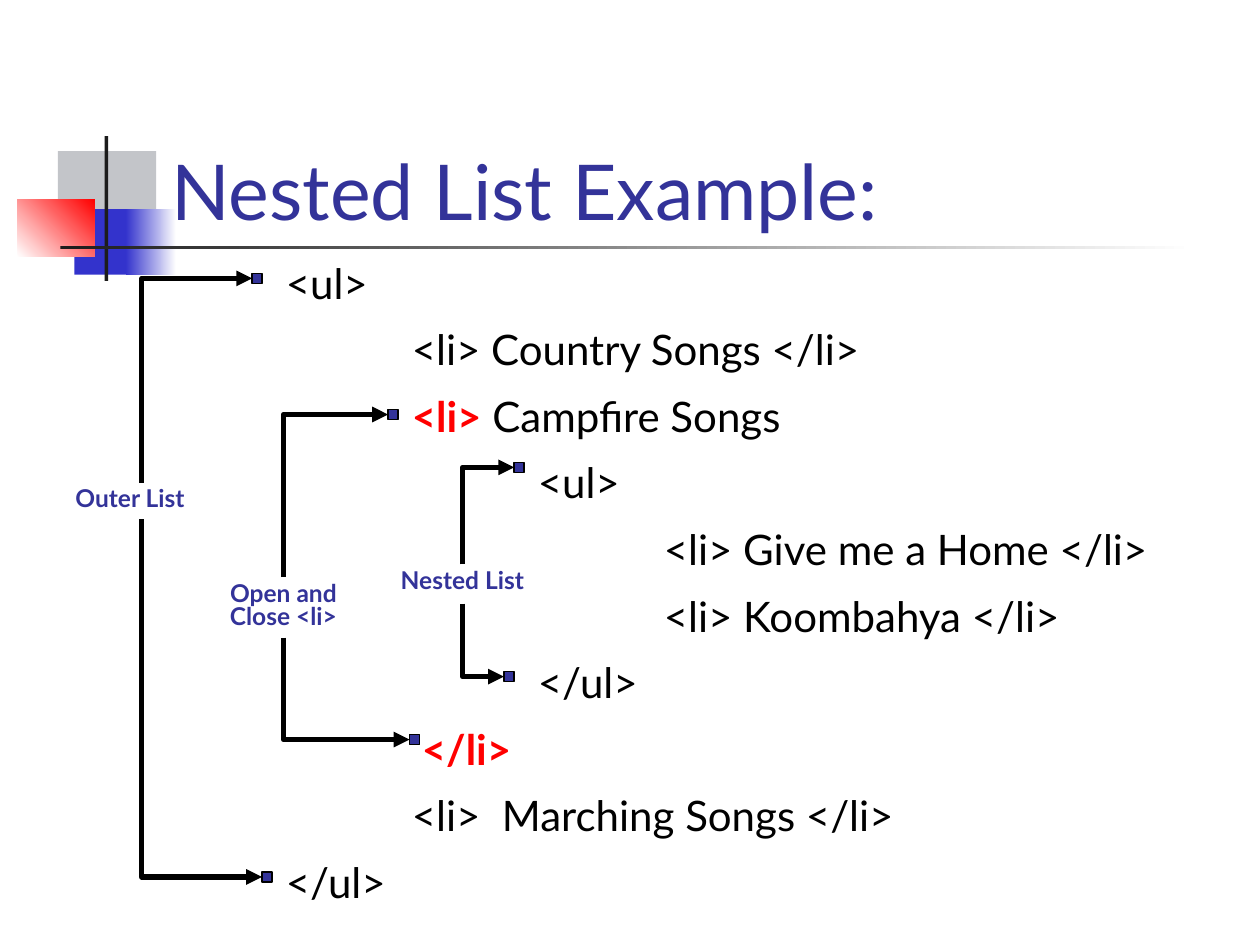
"""Build the slide that explains nested HTML lists with labelled brackets."""
import dataclasses
import typing

import lxml.etree
import pptx
import pptx.dml.color
import pptx.enum.shapes
import pptx.enum.text
import pptx.oxml.ns
import pptx.util

Inches = pptx.util.Inches
RGB = pptx.dml.color.RGBColor
Align = pptx.enum.text.PP_ALIGN
Anchor = pptx.enum.text.MSO_ANCHOR


@dataclasses.dataclass(frozen=True)
class Theme:
    font: str = "Lato"
    title_size: int = 44
    code_size: int = 24
    label_size: int = 14
    line_spacing: float = 0.8
    code_gap: int = 15
    arrow_width: int = 3
    marker_side: float = 0.08
    black: RGB = RGB(0, 0, 0)
    white: RGB = RGB(255, 255, 255)
    navy: RGB = RGB(0x33, 0x33, 0x99)
    blue: RGB = RGB(0x33, 0x33, 0xCC)
    red: RGB = RGB(255, 0, 0)
    gray: RGB = RGB(0xC3, 0xC5, 0xC9)
    charcoal: RGB = RGB(0x1C, 0x1C, 0x1C)


THEME = Theme()


class Area(typing.NamedTuple):
    left: float
    top: float
    width: float
    height: float

    def lengths(self) -> list:
        return [Inches(value) for value in self]


class Block(typing.NamedTuple):
    area: Area
    color: RGB
    end_color: typing.Optional[RGB] = None
    angle: int = 0


class CodeLine(typing.NamedTuple):
    indent: float
    text: str
    tag: str = ""


class Bracket(typing.NamedTuple):
    label: str
    area: Area
    align: Align
    spine: float
    markers: tuple


BLOCKS = [
    Block(Area(0.46, 1.2, 0.48, 0.52), THEME.gray),
    Block(Area(0.88, 1.2, 0.36, 0.52), THEME.gray),
    Block(Area(0.59, 1.66, 0.46, 0.52), THEME.blue),
    Block(Area(1, 1.66, 0.4, 0.52), THEME.blue, THEME.white),
    Block(Area(0.14, 1.58, 0.61, 0.46), THEME.white, THEME.red, 45),
    Block(Area(0.83, 1.08, 0.03, 1.15), THEME.charcoal),
    Block(Area(0.48, 1.95, 9, 0.03), THEME.charcoal, THEME.white),
]

CODE = [
    CodeLine(0, "<ul>"),
    CodeLine(1, "<li> Country Songs </li>"),
    CodeLine(1, " Campfire Songs", "<li>"),
    CodeLine(2, "<ul>"),
    CodeLine(3, "<li> Give me a Home </li>"),
    CodeLine(3, "<li> Koombahya </li>"),
    CodeLine(2, "</ul>"),
    CodeLine(1.08, "", "</li>"),
    CodeLine(1, "<li>  Marching Songs </li>"),
    CodeLine(0, "</ul>"),
]

BRACKETS = [
    Bracket("Nested List", Area(2.92, 4.48, 1.5, 0.31), Align.CENTER,
            3.67, ((4.08, 3.67), (4, 5.33))),
    Bracket("Outer List", Area(0.5, 3.83, 1.25, 0.29), Align.LEFT,
            1.125, ((2, 2.17), (2.08, 6.92))),
    Bracket("Open and Close <li>", Area(1.5, 4.58, 1.5, 0.48), Align.CENTER,
            2.25, ((3.08, 3.25), (3.25, 5.83))),
]


def add_block(slide, block: Block):
    """Draw a borderless rectangle with a plain or two-colour fill."""
    shape = slide.shapes.add_shape(
        pptx.enum.shapes.MSO_SHAPE.RECTANGLE, *block.area.lengths())
    shape.shadow.inherit = False
    shape.line.fill.background()
    if block.end_color is None:
        shape.fill.solid()
        shape.fill.fore_color.rgb = block.color
    else:
        shape.fill.gradient()
        shape.fill.gradient_angle = block.angle
        for stop, color in zip(shape.fill.gradient_stops, (block.color, block.end_color)):
            stop.color.rgb = color
    return shape


def add_box(slide, area: Area):
    """Add a wrapping text box and return its text frame."""
    frame = slide.shapes.add_textbox(*area.lengths()).text_frame
    frame.word_wrap = True
    return frame


def add_span(para, text: str, size: int, color: RGB, bold: bool = False) -> None:
    """Append one formatted run to a paragraph."""
    span = para.add_run()
    span.text = text
    span.font.name = THEME.font
    span.font.size = pptx.util.Pt(size)
    span.font.bold = bold
    span.font.color.rgb = color


def add_code(slide, area: Area, lines: typing.List[CodeLine]) -> None:
    """Write the code lines, each indented to its nesting depth."""
    frame = add_box(slide, area)
    for index, line in enumerate(lines):
        para = frame.add_paragraph() if index else frame.paragraphs[0]
        para.line_spacing = THEME.line_spacing
        if index:
            para.space_before = pptx.util.Pt(THEME.code_gap)
        para._p.get_or_add_pPr().set("marL", str(Inches(line.indent)))
        if line.tag:
            add_span(para, line.tag, THEME.code_size, THEME.red, True)
        if line.text:
            add_span(para, line.text, THEME.code_size, THEME.black)


def add_arrow(slide, spine: float, start: float, tip: float, level: float) -> None:
    """Draw an elbow arrow that runs along the spine and then turns right."""
    rise, run = abs(level - start), tip - spine
    left = (spine + tip - rise) / 2
    top = (start + level - run) / 2
    upward = level < start
    ends = (top + run, top) if upward else (top, top + run)
    arrow = slide.shapes.add_connector(
        pptx.enum.shapes.MSO_CONNECTOR.ELBOW,
        Inches(left + rise), Inches(ends[0]), Inches(left), Inches(ends[1]))
    properties = arrow._element.spPr
    properties.find(pptx.oxml.ns.qn("a:prstGeom")).set("prst", "bentConnector2")
    properties.find(pptx.oxml.ns.qn("a:xfrm")).set("rot", str((90 if upward else 270) * 60000))
    arrow.line.color.rgb = THEME.black
    arrow.line.width = pptx.util.Pt(THEME.arrow_width)
    lxml.etree.SubElement(
        arrow.line._get_or_add_ln(), pptx.oxml.ns.qn("a:tailEnd"), type="triangle")
    lxml.etree.SubElement(properties, pptx.oxml.ns.qn("a:effectLst"))


def add_bracket(slide, bracket: Bracket) -> None:
    """Draw a label with arrows to the markers above and below it."""
    para = add_box(slide, bracket.area).paragraphs[0]
    para.alignment = bracket.align
    para.line_spacing = THEME.line_spacing
    add_span(para, bracket.label, THEME.label_size, THEME.navy, True)
    side = THEME.marker_side
    starts = (bracket.area.top, bracket.area.top + bracket.area.height)
    for start, (left, top) in zip(starts, bracket.markers):
        marker = add_block(slide, Block(Area(left, top, side, side), THEME.navy))
        marker.line.color.rgb = THEME.black
        marker.line.width = pptx.util.Pt(0.75)
        add_arrow(slide, bracket.spine, start, left, top + side / 2)


def main() -> None:
    """Assemble the slide and save the deck."""
    deck = pptx.Presentation()
    deck.slide_width, deck.slide_height = Inches(10), Inches(7.5)
    slide = deck.slides.add_slide(deck.slide_layouts[6])
    for block in BLOCKS:
        add_block(slide, block)
    title = add_box(slide, Area(1.26, 0.67, 8.52, 1.25))
    title.vertical_anchor = Anchor.BOTTOM
    add_span(title.paragraphs[0], "Nested List Example:", THEME.title_size, THEME.navy)
    add_code(slide, Area(2.17, 2.07, 7.5, 5.18), CODE)
    for bracket in BRACKETS:
        add_bracket(slide, bracket)
    deck.save("out.pptx")


if __name__ == "__main__":
    main()
